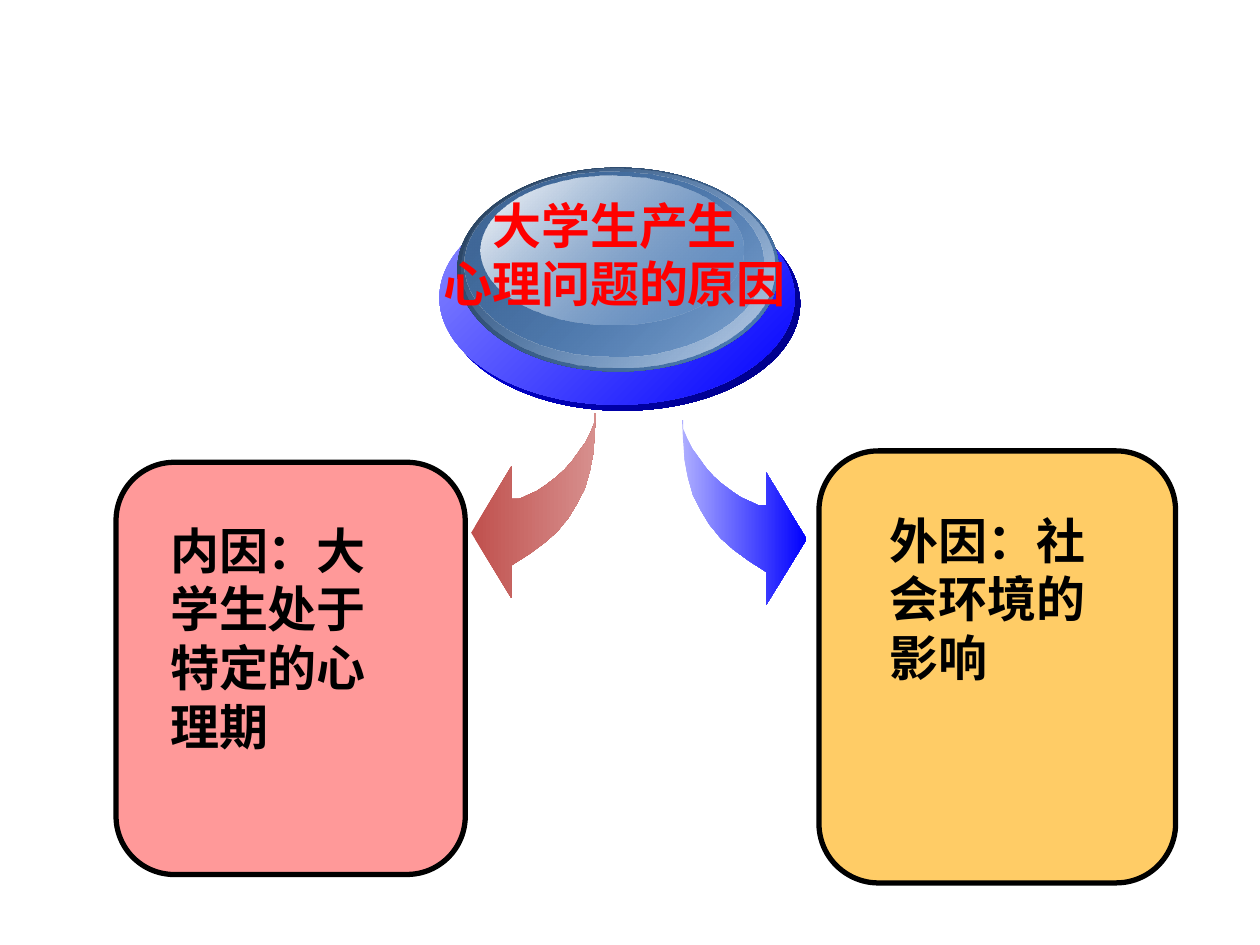
from lxml import etree
from pptx import Presentation
from pptx.dml.color import RGBColor
from pptx.enum.shapes import MSO_SHAPE
from pptx.enum.text import PP_ALIGN
from pptx.oxml.ns import qn
from pptx.util import Cm, Pt

OVAL = MSO_SHAPE.OVAL
ROUNDED = MSO_SHAPE.ROUNDED_RECTANGLE
LEFT = PP_ALIGN.LEFT
CENTER = PP_ALIGN.CENTER

BLACK = RGBColor(0x00, 0x00, 0x00)
WHITE = RGBColor(0xFF, 0xFF, 0xFF)
RED = RGBColor(0xFF, 0x00, 0x00)
BLUE = RGBColor(0x00, 0x00, 0xFF)
NAVY = RGBColor(0x00, 0x00, 0x7C)
PERIWINKLE = RGBColor(0x8E, 0x8E, 0xFF)
LAVENDER = RGBColor(0xAE, 0xAE, 0xFF)
STEEL = RGBColor(0x4F, 0x81, 0xBD)
STEEL_DEEP = RGBColor(0x25, 0x3C, 0x57)
STEEL_DARK = RGBColor(0x3F, 0x66, 0x96)
STEEL_PALE = RGBColor(0xC2, 0xD3, 0xE8)
BRICK = RGBColor(0xC0, 0x50, 0x4D)
BRICK_PALE = RGBColor(0xD7, 0x90, 0x8E)
PINK = RGBColor(0xFF, 0x99, 0x99)
AMBER = RGBColor(0xFF, 0xCC, 0x66)


def paint_gradient(shape, colors, angle, opacities=(100, 100)):
    shape.shadow.inherit = False
    shape.line.fill.background()
    shape.fill.gradient()
    shape.fill.gradient_angle = angle
    for stop, color, position in zip(shape.fill.gradient_stops, colors, (0, 1)):
        stop.color.rgb = color
        stop.position = position
    for color_node, opacity in zip(shape.element.spPr.iter(qn("a:srgbClr")), opacities):
        if opacity < 100:
            etree.SubElement(color_node, qn("a:alpha")).set("val", str(opacity * 1000))


def add_text(text, left, top, width, height, color=BLACK, align=LEFT, margin_left=0.25):
    box = page.shapes.add_textbox(Cm(left), Cm(top), Cm(width), Cm(height))
    frame = box.text_frame
    frame.word_wrap = True
    frame.margin_left = Cm(margin_left)
    frame.text = text
    for para in frame.paragraphs:
        para.alignment = align
        for span in para.runs:
            span.font.name = "Arial"
            span.font.size = Pt(28)
            span.font.bold = True
            span.font.color.rgb = color


deck = Presentation()
deck.slide_width = Cm(25.4)
deck.slide_height = Cm(19.05)
page = deck.slides.add_slide(deck.slide_layouts[6])

cause_panels = [
    (16.51, 9.09, 7.19, 8.71, AMBER),
    (2.34, 9.32, 7.04, 8.31, PINK),
]
for left, top, width, height, color in cause_panels:
    panel = page.shapes.add_shape(ROUNDED, Cm(left), Cm(top), Cm(width), Cm(height))
    panel.shadow.inherit = False
    panel.fill.solid()
    panel.fill.fore_color.rgb = color
    panel.line.color.rgb = BLACK
    panel.line.width = Pt(3)

add_text("外因：社会环境的影响", 16.71, 10.16, 5.99, 6.55, margin_left=1.22)
add_text("内因：大学生处于特定的心理期", 3.18, 10.36, 5.41, 5)

button_layers = [
    (8.97, 3.96, 7.16, 4.32, (BLUE, NAVY), (100, 100)),
    (8.86, 3.84, 7.16, 4.32, (PERIWINKLE, BLUE), (100, 100)),
    (9.22, 3.38, 6.48, 4.11, (STEEL_DEEP, STEEL), (100, 100)),
    (9.3, 3.4, 6.32, 4.01, (STEEL, STEEL_PALE), (0, 100)),
    (9.37, 3.45, 6.02, 3.73, (STEEL_DARK, STEEL), (100, 48)),
    (9.68, 3.53, 5.31, 3.02, (WHITE, STEEL), (100, 38)),
]
for left, top, width, height, colors, opacities in button_layers:
    layer = page.shapes.add_shape(OVAL, Cm(left), Cm(top), Cm(width), Cm(height))
    paint_gradient(layer, colors, 315, opacities)

add_text("大学生产生\n心理问题的原因", 6.99, 3.81, 10.8, 2.64, color=RED, align=CENTER)

arrow_outline = [
    (2.51, 0), (2.49, 0.41), (2.46, 0.81), (2.39, 1.17), (2.29, 1.52),
    (2.13, 1.83), (1.96, 2.11), (1.73, 2.39), (1.47, 2.62), (1.17, 2.84),
    (0.81, 3.07), (0.81, 3.73), (0, 2.41), (0.81, 1.07), (0.81, 1.73),
    (0.97, 1.73), (1.14, 1.65), (1.32, 1.57), (1.5, 1.45), (1.7, 1.3),
    (1.88, 1.14), (2.03, 0.97), (2.18, 0.76), (2.31, 0.58), (2.41, 0.38),
    (2.49, 0.18), (2.49, 0),
]
arrows = [
    (9.5, 8.33, 1, (BRICK, BRICK_PALE)),
    (16.26, 8.46, -1, (LAVENDER, BLUE)),
]
for tip, top, direction, colors in arrows:
    points = [(Cm(tip + direction * x), Cm(top + y)) for x, y in arrow_outline]
    builder = page.shapes.build_freeform(*points[0])
    builder.add_line_segments(points[1:], close=True)
    paint_gradient(builder.convert_to_shape(), colors, 0)

deck.save("out.pptx")
